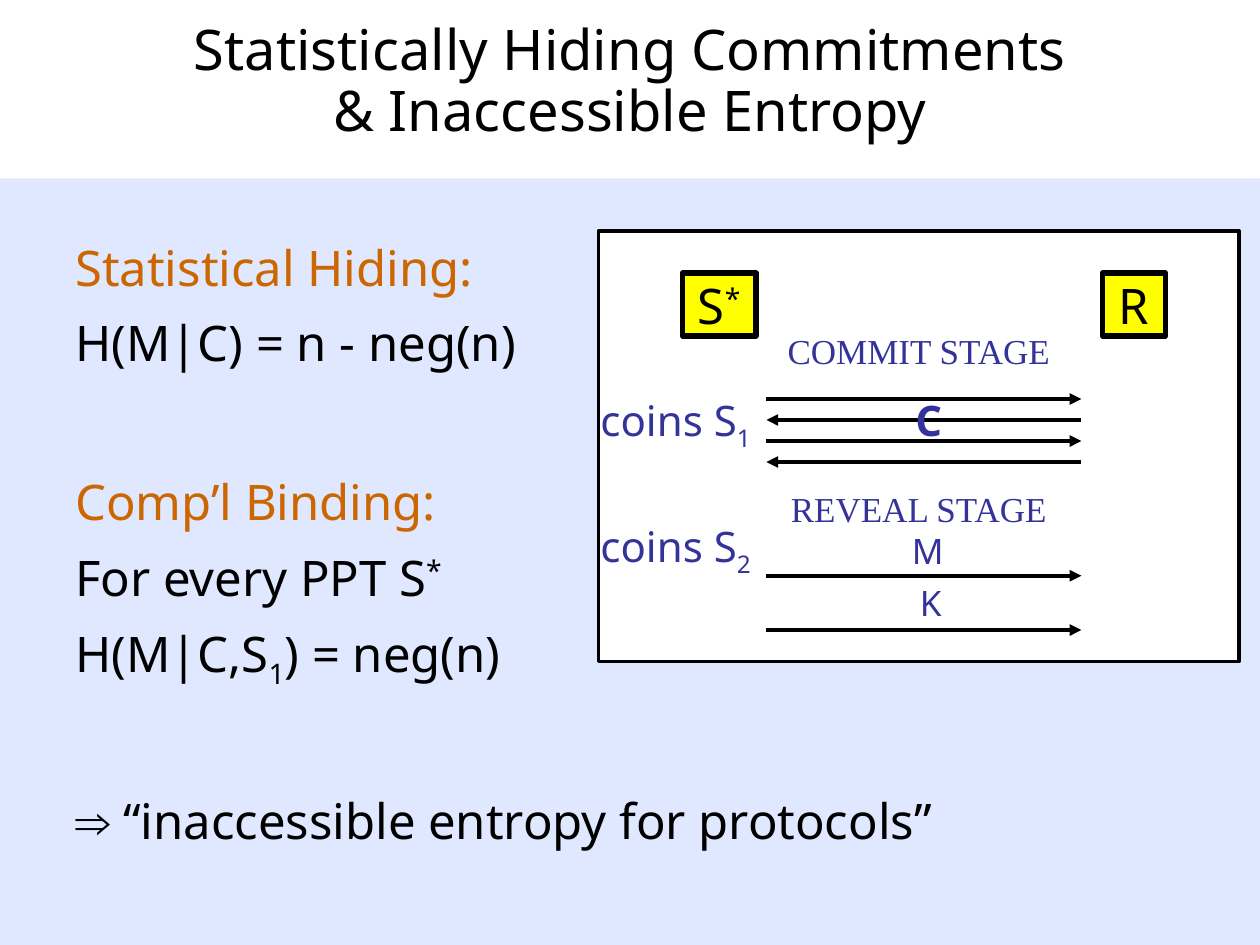
"""Builds a slide on statistically hiding commitments and inaccessible entropy."""
from lxml import etree
from pptx import Presentation
from pptx.dml.color import RGBColor
from pptx.enum.shapes import MSO_CONNECTOR, MSO_SHAPE
from pptx.enum.text import MSO_ANCHOR, PP_ALIGN
from pptx.oxml.ns import qn
from pptx.util import Pt

RECT, STRAIGHT = MSO_SHAPE.RECTANGLE, MSO_CONNECTOR.STRAIGHT
LEFT, CENTER = PP_ALIGN.LEFT, PP_ALIGN.CENTER
TOP, MIDDLE = MSO_ANCHOR.TOP, MSO_ANCHOR.MIDDLE
SANS, SERIF, SYMBOL = "Noto Sans", "Times New Roman", "Arial"
BLACK, WHITE, YELLOW = "000000", "FFFFFF", "FFFF00"
BLUE, NAVY, ORANGE = "3366FF", "333399", "CC6600"
SUP, SUB = 30, -25
GAP, WIDE_GAP = 9.6, 57.3

TITLE = [("Statistically Hiding Commitments\v& Inaccessible Entropy",)]
BODY = [
    (0, ORANGE, [("Statistical Hiding:",)]),
    (GAP, BLACK, [("H(M|C) = n - neg(n)",)]),
    (WIDE_GAP, ORANGE, [("Comp’l Binding:",)]),
    (GAP, BLACK, [("For every PPT S",), ("*", SUP)]),
    (GAP, BLACK, [("H(M|C,S",), ("1", SUB), (") = neg(n)",)]),
    (WIDE_GAP, BLACK, [("⇒", 0, SYMBOL), (" “inaccessible entropy for protocols”",)]),
]
PARTIES = [(390, 42, [("S",), ("*", SUP)]), (630, 36, [("R",)])]
STAGES = [("COMMIT STAGE", 185), ("REVEAL STAGE", 275)]
COINS = [("1", 222), ("2", 294)]
MESSAGES = [("M", 514, 299, 32, 20, False), ("K", 518.5, 329, 27, 20, False),
            ("C", 516, 222, 32, 24, True)]
ARROW_X = (438, 618)
ARROWS = [(228 + 12 * i, i % 2 == 1) for i in range(4)] + [(329, False), (360, False)]


def rgb(color):
    return RGBColor.from_string(color)


def add_rect(box, fill, line=None, width=0):
    sp = s.shapes.add_shape(RECT, *map(Pt, box))
    sp.shadow.inherit = False
    sp.fill.solid()
    sp.fill.fore_color.rgb = rgb(fill)
    if line:
        sp.line.color.rgb = rgb(line)
        sp.line.width = Pt(width)
    else:
        sp.line.fill.background()
    return sp


def write(p, runs, size, color, font=SANS, bold=False, align=LEFT):
    p.alignment = align
    for text, base, face in (run + (0, font)[len(run) - 1:] for run in runs):
        for i, part in enumerate(text.split("\v")):
            if i:
                p.add_line_break()
            r = p.add_run()
            r.text = part
            r.font.size, r.font.name, r.font.bold = Pt(size), face, bold
            r.font.color.rgb = rgb(color)
            if base:
                r.font._element.set("baseline", str(base * 1000))


def add_text(box, wrap=True, anchor=TOP):
    tf = s.shapes.add_textbox(*map(Pt, box)).text_frame
    tf.word_wrap, tf.vertical_anchor = wrap, anchor
    return tf


def add_arrow(y, backward):
    x1, x2 = reversed(ARROW_X) if backward else ARROW_X
    cn = s.shapes.add_connector(STRAIGHT, Pt(x1), Pt(y), Pt(x2), Pt(y))
    cn.line.color.rgb = rgb(BLACK)
    cn.line.width = Pt(2.25)
    etree.SubElement(cn.line._get_or_add_ln(), qn("a:tailEnd"), type="triangle")
    etree.SubElement(cn._element.spPr, qn("a:effectLst"))


prs = Presentation()
prs.slide_width, prs.slide_height = Pt(720), Pt(540)
s = prs.slides.add_slide(prs.slide_layouts[6])

band = add_rect((0, 102, 720, 438), BLUE)
tint = band.fill._xPr.find(qn("a:solidFill"))[0]
etree.SubElement(tint, qn("a:alpha"), val="15000")
add_rect((342, 132, 366, 246), WHITE, BLACK, 2)

p = add_text((36, 11.5, 648, 72), anchor=MIDDLE).paragraphs[0]
p.line_spacing = 0.9
write(p, TITLE, 32, BLACK, align=CENTER)

tf = add_text((36, 132, 648, 378))
for i, (gap, color, runs) in enumerate(BODY):
    p = tf.add_paragraph() if i else tf.paragraphs[0]
    p.space_before = Pt(gap)
    write(p, runs, 28, color)

for x, w, runs in PARTIES:
    tf = add_rect((x, 156, w, 36), YELLOW, BLACK, 3).text_frame
    tf.word_wrap, tf.vertical_anchor = False, MIDDLE
    write(tf.paragraphs[0], runs, 28, BLACK, align=CENTER)

for arrow in ARROWS:
    add_arrow(*arrow)

for text, y in STAGES:
    p = add_text((300, y, 450, 31)).paragraphs[0]
    write(p, [(text,)], 20, NAVY, SERIF, align=CENTER)

for text, x, y, w, size, bold in MESSAGES:
    p = add_text((x, y, w, size * 1.5), wrap=False).paragraphs[0]
    write(p, [(text,)], size, NAVY, bold=bold)

for index, y in COINS:
    p = add_text((336, y, 106.5, 36), wrap=False).paragraphs[0]
    write(p, [("coins S",), (index, SUB)], 24, NAVY)

prs.save("out.pptx")
